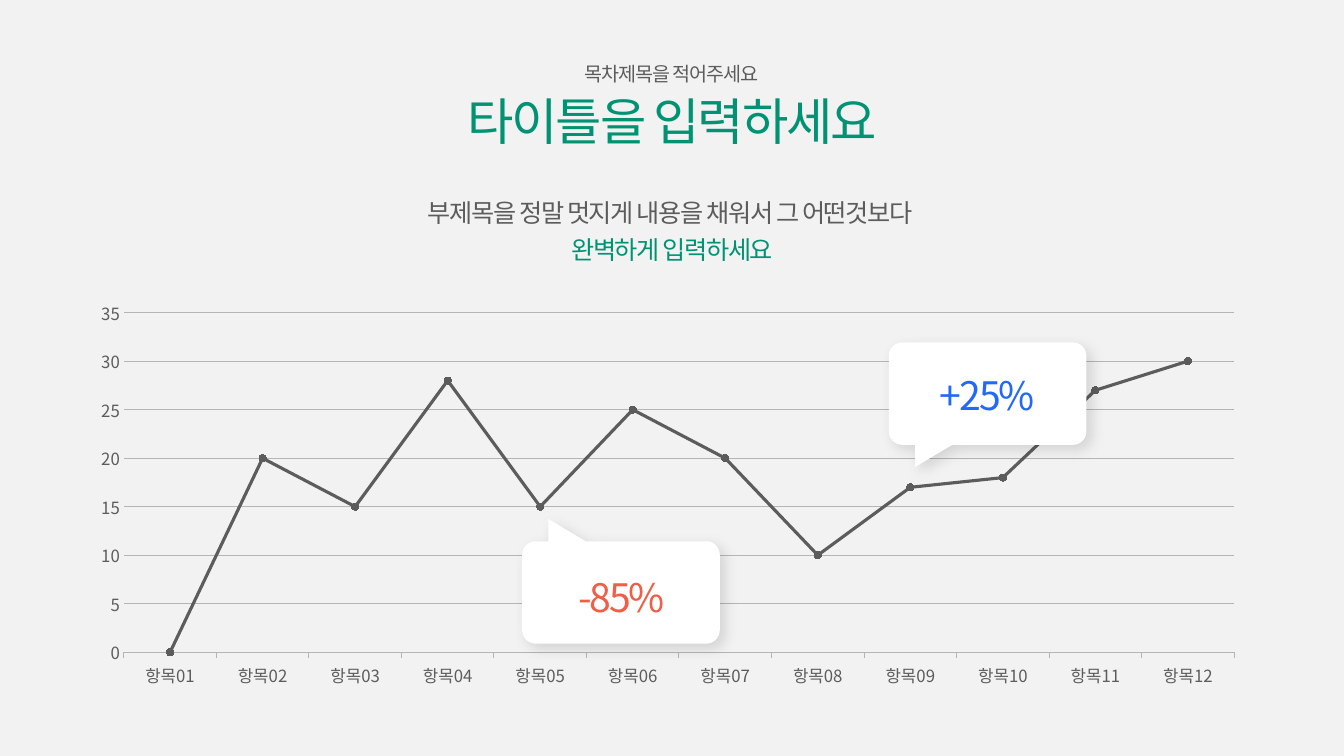
from math import cos, radians, sin

from lxml import etree
from pptx import Presentation
from pptx.chart.data import CategoryChartData
from pptx.dml.color import RGBColor
from pptx.enum.chart import XL_CHART_TYPE as ChartType
from pptx.enum.chart import XL_MARKER_STYLE as MarkerStyle
from pptx.enum.chart import XL_TICK_MARK as TickMark
from pptx.enum.text import MSO_AUTO_SIZE as AutoSize
from pptx.enum.text import PP_ALIGN as Align
from pptx.oxml import parse_xml
from pptx.oxml.ns import nsdecls, qn
from pptx.util import Cm, Pt

FONT = "Noto Sans CJK KR"
HEX = {"background": "F2F2F2", "gray": "5C5C5C", "grid": "B5B5B5", "green": "009373",
       "blue": "2269F7", "red": "EF5F47", "white": "FFFFFF"}
COLORS = {name: RGBColor.from_string(value) for name, value in HEX.items()}

deck = Presentation()
deck.slide_width, deck.slide_height = Cm(33.87), Cm(19.05)
page = deck.slides.add_slide(deck.slide_layouts[6])
page.background.fill.solid()
page.background.fill.fore_color.rgb = COLORS["background"]


def add_text(left, top, width, height, lines, size, tracking, line_spacing=1.0):
    """Add a centred text box; lines holds (text, colour name) pairs."""
    box = page.shapes.add_textbox(Cm(left), Cm(top), Cm(width), Cm(height))
    frame = box.text_frame
    frame.margin_left = frame.margin_right = frame.margin_top = frame.margin_bottom = 0
    frame.word_wrap = False
    frame.auto_size = AutoSize.SHAPE_TO_FIT_TEXT
    frame.text = "\n".join(text for text, _ in lines)
    for para, (_, color) in zip(frame.paragraphs, lines):
        para.alignment = Align.CENTER
        para.line_spacing = line_spacing
        span = para.runs[0]
        span.font.size = Pt(size)
        span.font.color.rgb = COLORS[color]
        span.font.name = FONT
        properties = span._r.get_or_add_rPr()
        properties.set("spc", str(round(tracking * 100)))
        etree.SubElement(properties, qn("a:ea"), typeface=FONT)


def add_callout(left, flat_edge, direction):
    """Add a rounded bubble whose tail points down (1) or up (-1)."""
    width, height, radius, tail = 4.98, 2.58, 0.34, 0.56
    corners = [(radius, radius, 180), (width - radius, radius, 270),
               (width - radius, height - radius, 0), (radius, height - radius, 90)]
    outline = []
    for x, y, start in corners:
        if start == 90:
            outline += [(1.6, height), (0.66, height + tail), (0.66, height)]
        for angle in range(start, start + 91, 10):
            turn = radians(angle)
            outline.append((x + radius * cos(turn), y + radius * sin(turn)))
    points = [(Cm(left + x), Cm(flat_edge + direction * y)) for x, y in outline]
    builder = page.shapes.build_freeform(*points[0])
    builder.add_line_segments(points[1:], close=True)
    bubble = builder.convert_to_shape()
    bubble.fill.solid()
    bubble.fill.fore_color.rgb = COLORS["white"]
    bubble.line.fill.background()
    bubble._element.spPr.append(parse_xml(
        f'<a:effectLst {nsdecls("a")}><a:outerShdw blurRad="{Pt(10)}" dist="{Pt(5)}" '
        'dir="2700000" algn="tl" rotWithShape="0"><a:srgbClr val="000000">'
        '<a:alpha val="13000"/></a:srgbClr></a:outerShdw></a:effectLst>'))


# Line chart
chart_data = CategoryChartData()
chart_data.categories = [f"항목{number:02}" for number in range(1, 13)]
chart_data.add_series("Series 1", (0, 20, 15, 28, 15, 25, 20, 10, 17, 18, 27, 30))
chart = page.shapes.add_chart(ChartType.LINE_MARKERS, Cm(1.93), Cm(7.37), Cm(29.77),
                              Cm(10.19), chart_data).chart
chart.has_legend = chart.has_title = False
chart.font.size = Pt(12)
chart.font.name = FONT

# Axes
items, values = chart.category_axis, chart.value_axis
for axis in (items, values):
    axis.tick_labels.font.size = Pt(12)
    axis.tick_labels.font.color.rgb = COLORS["gray"]
    axis.tick_labels.font.name = FONT
    axis.minor_tick_mark = TickMark.NONE
items.major_tick_mark = TickMark.OUTSIDE
values.major_tick_mark = TickMark.NONE
values.minimum_scale, values.maximum_scale, values.major_unit = 0, 35, 5
values.has_major_gridlines = True
values.format.line.fill.background()
for line in (items.format.line, values.major_gridlines.format.line):
    line.color.rgb = COLORS["grid"]
    line.width = Pt(0.75)
for properties in chart.element.iter(qn("a:defRPr")):
    etree.SubElement(properties, qn("a:ea"), typeface=FONT)

# Series
chart.plots[0].vary_by_categories = False
series = chart.plots[0].series[0]
series.smooth = False
series.format.line.color.rgb = COLORS["gray"]
series.format.line.width = Pt(2.25)
marker = series.marker
marker.style, marker.size = MarkerStyle.CIRCLE, 5
marker.format.fill.solid()
marker.format.fill.fore_color.rgb = COLORS["gray"]
marker.format.line.color.rgb = COLORS["gray"]

# Plot area inside the chart frame
plot_area = chart.element.find(".//" + qn("c:plotArea"))
for layout in plot_area.findall(qn("c:layout")):
    plot_area.remove(layout)
plot_area.insert(0, parse_xml(
    f'<c:layout {nsdecls("c")}><c:manualLayout><c:layoutTarget val="inner"/>'
    '<c:xMode val="edge"/><c:yMode val="edge"/><c:x val="0.04"/><c:y val="0.05"/>'
    '<c:w val="0.94"/><c:h val="0.84"/></c:manualLayout></c:layout>'))

# Subtitle
add_text(10.31, 4.83, 13.26, 1.85,
         [("부제목을 정말 멋지게 내용을 채워서 그 어떤것보다 ", "gray"),
          ("완벽하게 입력하세요", "green")], 18, -1, 1.2)

# Callouts
add_callout(22.4, 8.63, 1)
add_text(23.55, 9.35, 2.67, 1.19, [("+25%", "blue")], 28, -1.5)
add_callout(13.16, 16.22, -1)
add_text(14.38, 14.45, 2.57, 1.19, [("-85%", "red")], 28, -1.5)

# Title and heading above it
add_text(11.48, 2.26, 10.92, 1.55, [("타이틀을 입력하세요", "green")], 36, -1.5)
add_text(14.61, 1.57, 4.62, 0.61, [("목차제목을 적어주세요", "gray")], 14, -0.8)

deck.save("out.pptx")
